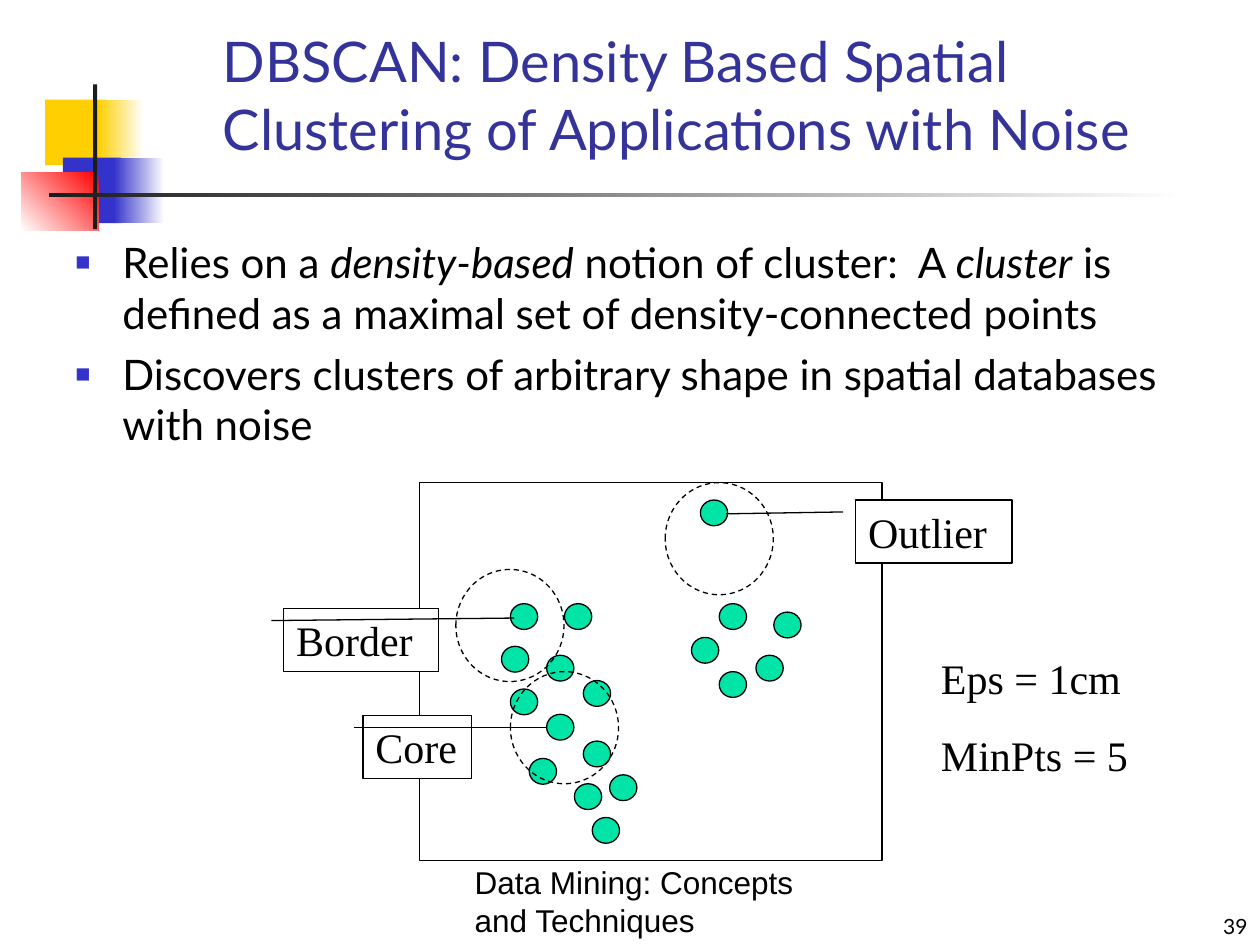
from lxml.etree import SubElement
from pptx import Presentation
from pptx.dml.color import RGBColor
from pptx.enum.dml import MSO_LINE
from pptx.enum.shapes import MSO_SHAPE
from pptx.enum.text import MSO_ANCHOR, PP_ALIGN
from pptx.oxml.ns import qn
from pptx.util import Cm, Pt

BLACK = RGBColor(0x00, 0x00, 0x00)
WHITE = RGBColor(0xFF, 0xFF, 0xFF)
CHARCOAL = RGBColor(0x1C, 0x1C, 0x1C)
YELLOW = RGBColor(0xFF, 0xCF, 0x01)
BLUE = RGBColor(0x33, 0x33, 0xCC)
TITLE_BLUE = RGBColor(0x33, 0x33, 0x99)
RED = RGBColor(0xFF, 0x00, 0x00)
GREEN = RGBColor(0x00, 0xE4, 0xA8)

# Left, top, width, height in cm; then one colour, or two colours and an angle
DECORATION = [
    ((0.91, 2.01, 1.22, 1.32), (YELLOW,)),
    ((1.98, 2.01, 0.91, 1.32), (WHITE, YELLOW, 180)),
    ((1.27, 3.18, 1.17, 1.32), (BLUE,)),
    ((2.29, 3.18, 1.02, 1.32), (WHITE, BLUE, 180)),
    ((0.43, 3.48, 1.55, 1.17), (RED, WHITE, 225)),
    ((1.88, 1.7, 0.08, 2.92), (CHARCOAL,)),
    ((0.99, 3.89, 22.86, 0.08), (WHITE, CHARCOAL, 180)),
]

# Each bullet is a list of (text, italic)
BULLETS = [
    [("Relies on a ", False), ("density-based", True),
     (" notion of cluster:  A ", False), ("cluster", True),
     (" is defined as a maximal set of density-connected points", False)],
    [("Discovers clusters of arbitrary shape in spatial databases with noise",
      False)],
]

# Data points (left, top)
LEFT_CLUSTER = [
    (10.29, 12.17), (10.11, 13.03), (11.02, 13.21), (11.38, 12.17),
    (11.76, 13.72), (10.29, 13.89), (11.02, 14.4), (10.67, 15.29),
    (11.58, 15.8), (11.94, 16.48), (11.76, 14.94), (12.29, 15.62),
]
RIGHT_CLUSTER = [
    (14.5, 12.17), (13.94, 12.85), (15.24, 13.21), (15.6, 12.34),
    (14.5, 13.54),
]
OUTLIER = (14.12, 10.08)
NEIGHBOURHOODS = [(9.19, 11.48), (10.29, 13.54), (13.41, 9.73)]

# Label, box, and end of the pointer as fractions of the box (down, across)
CALLOUTS = [
    ("Core", (7.32, 14.43, 2.18, 1.27), (0.19, 1.69)),
    ("Border", (5.72, 12.27, 3.12, 1.27), (0.15, 1.49)),
    ("Outlier", (17.25, 10.08, 3.15, 1.27), (0.22, -0.83)),
]


def set_font(paragraph, name, size, color=BLACK):
    paragraph.font.name = name
    paragraph.font.size = Pt(size)
    paragraph.font.color.rgb = color


def add_shape(slide, kind, box, fill=None, line=None):
    shape = slide.shapes.add_shape(kind, *map(Cm, box))
    shape.shadow.inherit = False
    if fill is None:
        shape.fill.background()
    else:
        shape.fill.solid()
        shape.fill.fore_color.rgb = fill
    if line is None:
        shape.line.fill.background()
    else:
        shape.line.color.rgb = line
        shape.line.width = Pt(0.75)
    return shape


def add_decoration(slide, box, colors):
    shape = add_shape(slide, MSO_SHAPE.RECTANGLE, box, colors[0])
    if len(colors) > 1:
        start, end, angle = colors
        shape.fill.gradient()
        shape.fill.gradient_angle = angle
        for stop, color in zip(shape.fill.gradient_stops, (start, end)):
            stop.color.rgb = color


def add_text(slide, box, lines, font, size, color=BLACK,
             anchor=MSO_ANCHOR.TOP, align=PP_ALIGN.LEFT, space_before=0):
    frame = slide.shapes.add_textbox(*map(Cm, box)).text_frame
    frame.word_wrap = True
    frame.vertical_anchor = anchor
    frame.text = "\n".join(lines)
    for paragraph in frame.paragraphs:
        paragraph.alignment = align
        paragraph.space_before = Pt(space_before)
        set_font(paragraph, font, size, color)


def add_bullet_mark(paragraph):
    properties = paragraph._p.get_or_add_pPr()
    properties.set("marL", str(Cm(0.95)))
    properties.set("indent", str(-Cm(0.95)))
    color = SubElement(properties, qn("a:buClr"))
    SubElement(color, qn("a:srgbClr"), val=str(BLUE))
    SubElement(properties, qn("a:buSzPct"), val="60000")
    SubElement(properties, qn("a:buFont"), typeface="Arial")
    SubElement(properties, qn("a:buChar"), char="■")


def add_bullets(slide, box, bullets):
    frame = slide.shapes.add_textbox(*map(Cm, box)).text_frame
    frame.word_wrap = True
    for index, pieces in enumerate(bullets):
        paragraph = frame.add_paragraph() if index else frame.paragraphs[0]
        paragraph.space_before = Pt(6)
        add_bullet_mark(paragraph)
        set_font(paragraph, "Lato", 24)
        for text, italic in pieces:
            run = paragraph.add_run()
            run.text = text
            run.font.italic = italic


def add_callout(slide, label, box, pointer_end):
    shape = add_shape(slide, MSO_SHAPE.LINE_CALLOUT_1, box, WHITE, BLACK)
    for index, value in enumerate((0.19, -0.08, *pointer_end)):
        shape.adjustments[index] = value
    frame = shape.text_frame
    frame.word_wrap = True
    frame.vertical_anchor = MSO_ANCHOR.TOP
    frame.text = label
    frame.paragraphs[0].alignment = PP_ALIGN.LEFT
    set_font(frame.paragraphs[0], "Times New Roman", 24)


def add_diagram(slide):
    for left, top in LEFT_CLUSTER + RIGHT_CLUSTER + [OUTLIER]:
        add_shape(slide, MSO_SHAPE.OVAL, (left, top, 0.55, 0.52), GREEN, BLACK)
    add_shape(slide, MSO_SHAPE.RECTANGLE, (8.46, 9.73, 9.32, 7.62), line=BLACK)
    for left, top in NEIGHBOURHOODS:
        circle = add_shape(slide, MSO_SHAPE.OVAL, (left, top, 2.18, 2.26),
                           line=BLACK)
        circle.line.dash_style = MSO_LINE.DASH
    for label, box, pointer_end in CALLOUTS:
        add_callout(slide, label, box, pointer_end)
    add_text(slide, (18.72, 13.03, 4.57, 2.82), ["Eps = 1cm", "MinPts = 5"],
             "Times New Roman", 24, space_before=15)


def main():
    presentation = Presentation()
    presentation.slide_width = Cm(25.4)
    presentation.slide_height = Cm(19.05)
    slide = presentation.slides.add_slide(presentation.slide_layouts[6])

    # Corner ornament and rule
    for box, colors in DECORATION:
        add_decoration(slide, box, colors)

    # Title and bullets
    add_text(slide, (4.24, 0.64, 20.12, 2.74),
             ["DBSCAN: Density Based Spatial Clustering of Applications "
              "with Noise"],
             "Lato", 32, TITLE_BLUE, MSO_ANCHOR.BOTTOM)
    add_bullets(slide, (1.27, 4.65, 23.06, 13.54), BULLETS)

    add_diagram(slide)

    # Footer and slide number
    add_text(slide, (9.32, 17.98, 8.05, 1.07),
             ["Data Mining: Concepts and Techniques"],
             "Arial", 18, anchor=MSO_ANCHOR.BOTTOM)
    add_text(slide, (20.12, 17.98, 5.28, 1.07), ["39"], "Lato", 12,
             anchor=MSO_ANCHOR.BOTTOM, align=PP_ALIGN.RIGHT)

    presentation.save("out.pptx")


if __name__ == "__main__":
    main()
